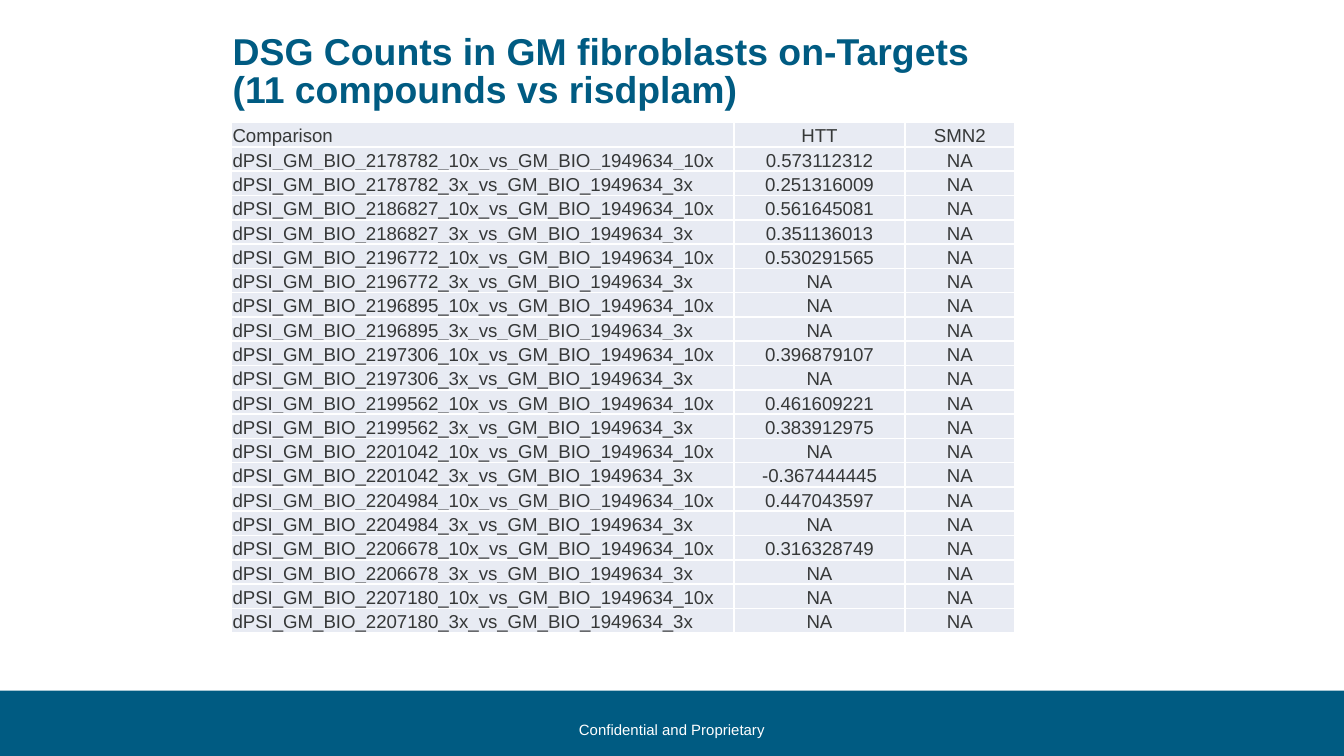
from lxml import etree
from pptx import Presentation
from pptx.dml.color import RGBColor
from pptx.enum import shapes, text
from pptx.oxml import ns
from pptx.util import Pt

COLORS = {"blue": "005B82", "white": "FFFFFF", "cell": "E8EBF3", "ink": "363838"}
REFERENCE = "GM_BIO_1949634"
DOSES = ("10x", "3x")
# HTT value of each compound at each dose
HTT_VALUES = {
    "2178782": ("0.573112312", "0.251316009"),
    "2186827": ("0.561645081", "0.351136013"),
    "2196772": ("0.530291565", "NA"),
    "2196895": ("NA", "NA"),
    "2197306": ("0.396879107", "NA"),
    "2199562": ("0.461609221", "0.383912975"),
    "2201042": ("NA", "-0.367444445"),
    "2204984": ("0.447043597", "NA"),
    "2206678": ("0.316328749", "NA"),
    "2207180": ("NA", "NA"),
}
COLUMN_WIDTHS = (269.2, 91.4, 59)
ROW_HEIGHT = 13.03


def add_run(paragraph, words, size, color, bold=False):
    run = paragraph.add_run()
    run.text = words
    run.font.name = "Arial"
    run.font.size = Pt(size)
    run.font.bold = bold
    run.font.color.rgb = RGBColor.from_string(COLORS[color])


def set_borders(cell, color):
    """Draw a 1 pt line on all four sides; call before the cell is filled."""
    properties = cell._tc.get_or_add_tcPr()
    for side in ("lnL", "lnR", "lnT", "lnB"):
        line = etree.SubElement(properties, ns.qn(f"a:{side}"), w=str(Pt(1)))
        fill = etree.SubElement(line, ns.qn("a:solidFill"))
        etree.SubElement(fill, ns.qn("a:srgbClr"), val=COLORS[color])


presentation = Presentation()
presentation.slide_width = Pt(720)
presentation.slide_height = Pt(405)
slide = presentation.slides.add_slide(presentation.slide_layouts[5])

# Footer band
band = slide.shapes.add_shape(
    shapes.MSO_SHAPE.RECTANGLE, Pt(0), Pt(370), Pt(720), Pt(35))
band.shadow.inherit = False
band.fill.solid()
band.fill.fore_color.rgb = RGBColor.from_string(COLORS["blue"])
band.line.fill.background()

footer = slide.shapes.add_textbox(Pt(302.4), Pt(382.4), Pt(115.2), Pt(17))
footer.text_frame.word_wrap = False
footer.text_frame.vertical_anchor = text.MSO_ANCHOR.MIDDLE
paragraph = footer.text_frame.paragraphs[0]
paragraph.alignment = text.PP_ALIGN.CENTER
add_run(paragraph, "Confidential and Proprietary", 8, "white")

# Comparison table
rows = [("Comparison", "HTT", "SMN2")]
for compound, values in HTT_VALUES.items():
    for dose, value in zip(DOSES, values):
        rows.append((f"dPSI_GM_BIO_{compound}_{dose}_vs_{REFERENCE}_{dose}", value, "NA"))

table = slide.shapes.add_table(
    len(rows), len(COLUMN_WIDTHS), Pt(124.1), Pt(65.7),
    Pt(sum(COLUMN_WIDTHS)), Pt(ROW_HEIGHT * len(rows))).table
table.first_row = False
table.horz_banding = False
for column, width in zip(table.columns, COLUMN_WIDTHS):
    column.width = Pt(width)
for table_row, row in zip(table.rows, rows):
    table_row.height = Pt(ROW_HEIGHT)
    for index, (cell, words) in enumerate(zip(table_row.cells, row)):
        set_borders(cell, "white")
        cell.fill.solid()
        cell.fill.fore_color.rgb = RGBColor.from_string(COLORS["cell"])
        cell.margin_left = cell.margin_right = cell.margin_top = Pt(0.5)
        cell.margin_bottom = Pt(0)
        cell.vertical_anchor = text.MSO_ANCHOR.BOTTOM
        paragraph = cell.text_frame.paragraphs[0]
        paragraph.alignment = text.PP_ALIGN.CENTER if index else text.PP_ALIGN.LEFT
        add_run(paragraph, words, 10, "ink")

# Title
title = slide.shapes.title
title.left, title.top, title.width, title.height = Pt(117.4), Pt(15.1), Pt(435.6), Pt(49)
frame = title.text_frame
frame.word_wrap = True
frame.auto_size = text.MSO_AUTO_SIZE.NONE
frame.vertical_anchor = text.MSO_ANCHOR.TOP
frame.margin_left, frame.margin_right = Pt(7.2), Pt(0)
frame.margin_top = frame.margin_bottom = Pt(3.6)
paragraph = frame.paragraphs[0]
paragraph.alignment = text.PP_ALIGN.LEFT
paragraph.line_spacing = 0.85
add_run(paragraph, "DSG Counts in GM fibroblasts on-Targets", 20, "blue", bold=True)
paragraph.add_line_break()
add_run(paragraph, "(11 compounds vs risdplam)", 20, "blue", bold=True)

presentation.save("out.pptx")
